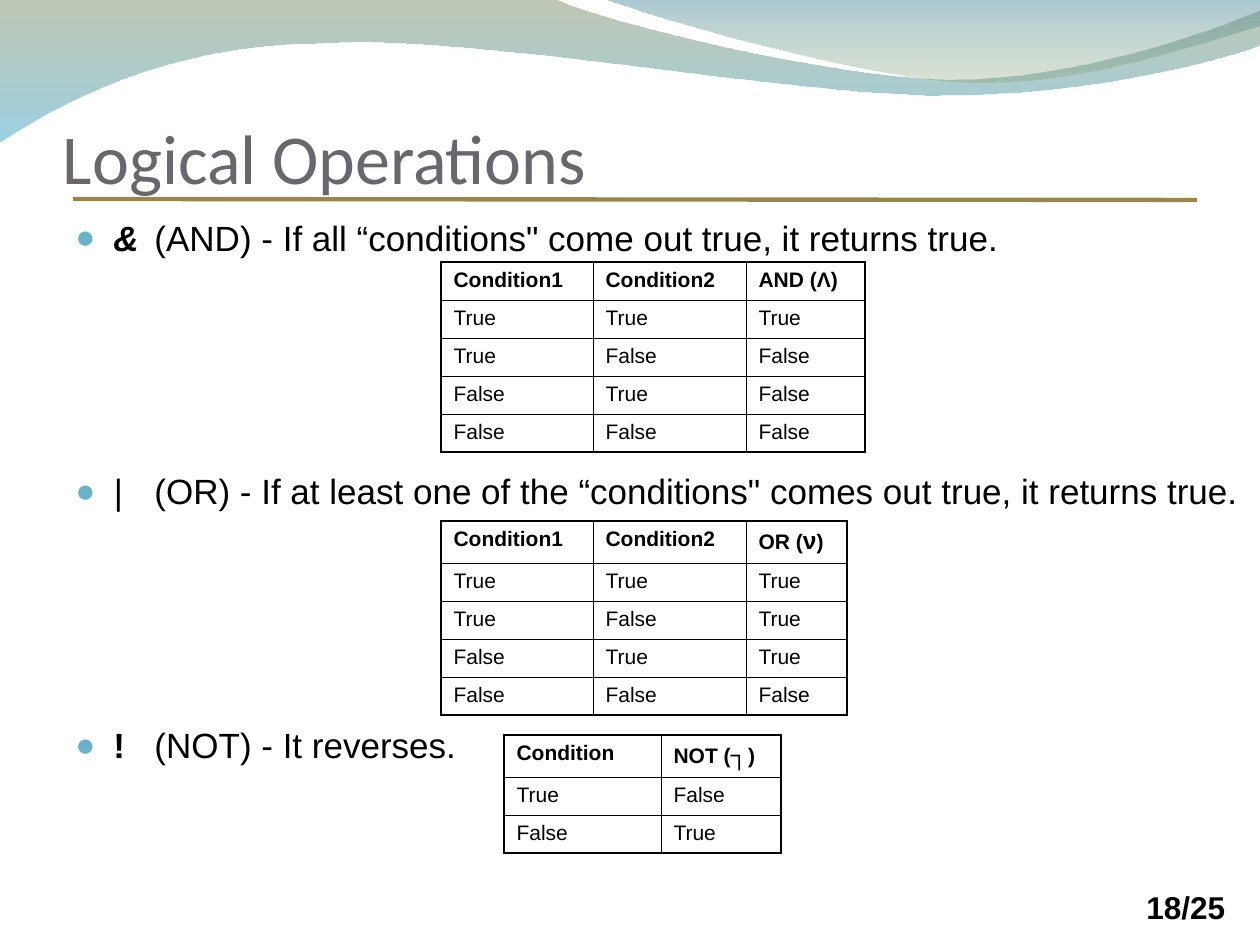
from lxml.etree import SubElement
from pptx import Presentation
from pptx.dml.color import RGBColor
from pptx.enum.shapes import MSO_CONNECTOR
from pptx.enum.text import MSO_ANCHOR
from pptx.oxml.ns import qn
from pptx.util import Emu, Pt

SCALE = 914400 // 126


def px(num):
    return Emu(round(num * SCALE))


def tint(code):
    return RGBColor.from_string(code)


def write(para, text, font="Arial", size=20, color="000000", bold=False, slant=False):
    run = para.add_run()
    run.text = text
    face = run.font
    face.name, face.size, face.bold, face.italic = font, Pt(size), bold, slant
    face.color.rgb = tint(color)


class Deck:
    accent = "6BB1C9"
    rule = "988848"
    ink = "000000"
    thin, thick = 0.45, 1.08
    row = 38

    def __init__(self, wide, high):
        self.prs = Presentation()
        self.prs.slide_width, self.prs.slide_height = px(wide), px(high)
        self.slide = self.prs.slides.add_slide(self.prs.slide_layouts[6])

    def wave(self, start, parts, stops):
        """Draw parts of one point as lines and of three points as curves."""
        form = self.slide.shapes.build_freeform(*start, scale=SCALE)
        form.add_line_segments([dot for part in parts for dot in part], close=True)
        shape = form.convert_to_shape()
        self.bend(shape, parts)
        shape.shadow.inherit = False
        shape.line.fill.background()
        shape.fill.gradient()
        shape.fill.gradient_angle = 270
        for stop, (color, alpha) in zip(shape.fill.gradient_stops, stops):
            stop.color.rgb = tint(color)
        marks = shape._element.spPr.iter(qn("a:srgbClr"))
        for mark, (color, alpha) in zip(marks, stops):
            SubElement(mark, qn("a:alpha"), val=str(alpha * 1000))

    def bend(self, shape, parts):
        lines = iter(list(shape._element.iter(qn("a:lnTo"))))
        for part in parts:
            first, *rest = [next(lines) for dot in part]
            if rest:
                first.tag = qn("a:cubicBezTo")
                for line in rest:
                    first.append(line[0])
                    line.getparent().remove(line)

    def line(self, x1, y1, x2, y2, width):
        link = self.slide.shapes.add_connector(
            MSO_CONNECTOR.STRAIGHT, px(x1), px(y1), px(x2), px(y2))
        link.line.color.rgb = tint(self.rule)
        link.line.width = Pt(width)
        SubElement(link._element.spPr, qn("a:effectLst"))

    def box(self, x, y, wide, high, text="", **style):
        frame = self.slide.shapes.add_textbox(px(x), px(y), px(wide), px(high)).text_frame
        frame.word_wrap = True
        if text:
            write(frame.paragraphs[0], text, **style)
        return frame

    def title(self, x, y, wide, high, text):
        frame = self.box(x, y, wide, high, text, font="Calibri", size=40, color="69676D")
        frame.margin_left = frame.margin_right = frame.margin_bottom = 0
        frame.vertical_anchor = MSO_ANCHOR.BOTTOM

    def list(self, x, y, wide, high, items, gap):
        frame = self.box(x, y, wide, high)
        for num, (sign, text, style) in enumerate(items):
            para = frame.paragraphs[0] if num == 0 else frame.add_paragraph()
            self.bullet(para)
            para.space_before = Pt(gap if num else 0)
            write(para, sign, **style)
            write(para, "\t" + text)

    def bullet(self, para):
        props = para._p.get_or_add_pPr()
        props.set("marL", str(px(38)))
        props.set("indent", str(px(-38)))
        paint = SubElement(props, qn("a:buClr"))
        SubElement(paint, qn("a:srgbClr"), val=self.accent)
        SubElement(props, qn("a:buSzPct"), val="95000")
        SubElement(props, qn("a:buFont"), typeface="Arial")
        SubElement(props, qn("a:buChar"), char="●")
        tabs = SubElement(props, qn("a:tabLst"))
        for stop in (41, 79):
            SubElement(tabs, qn("a:tab"), pos=str(px(stop)), algn="l")

    def table(self, x, y, cols, head, rows, top=42):
        data = [head, *rows]
        highs = [top] + [self.row] * len(rows)
        grid = self.slide.shapes.add_table(
            len(data), len(cols), px(x), px(y), px(sum(cols)), px(sum(highs))).table
        grid.first_row = grid.horz_banding = False
        for col, wide in zip(grid.columns, cols):
            col.width = px(wide)
        for r, (line, high) in enumerate(zip(data, highs)):
            grid.rows[r].height = px(high)
            for c, text in enumerate(line):
                cell = grid.cell(r, c)
                self.border(cell, L=c == 0, R=c == len(cols) - 1,
                            T=r == 0, B=r == len(rows))
                cell.fill.background()
                # A tuple holds a label with its larger symbol in the middle
                parts = text if isinstance(text, tuple) else (text,)
                for num, part in enumerate(parts):
                    write(cell.text_frame.paragraphs[0], part,
                          size=14 if num == 1 else 12, bold=r == 0)

    def border(self, cell, **sides):
        props = cell._tc.get_or_add_tcPr()
        for side, edge in sides.items():
            width = Pt(self.thick if edge else self.thin)
            line = SubElement(props, qn("a:ln" + side), w=str(width))
            fill = SubElement(line, qn("a:solidFill"))
            SubElement(fill, qn("a:srgbClr"), val=self.ink)


def main():
    deck = Deck(1260, 945)

    # Waves along the top
    deck.wave((0, -1), [
        [(554, -1)],
        [(600, 21), (837, 79), (955, 79)],
        [(1075, 79), (1207, 33), (1260, 11)],
        [(1261, 45)],
        [(1239, 55), (1096, 96), (940, 95)],
        [(784, 95), (481, 35), (324, 43)],
        [(163, 44), (58, 105), (-1, 142)],
    ], [("72845C", 45), ("49ACCD", 55)])
    deck.wave((604, -1), [
        [(641, 14), (859, 78), (969, 82)],
        [(1079, 87), (1211, 40), (1260, 26)],
        [(1260, 0)],
    ], [("42869E", 45), ("8AA26C", 30)])

    # Rule, page number and title
    deck.line(73, 199, 1197, 200, 2.5)
    deck.box(1134, 882, 116, 126, "18/25", size=18, bold=True)
    deck.title(63, 41, 1134, 158, "Logical Operations")

    # Operators
    deck.list(63, 210, 1197, 672, [
        ("&", "(AND) - If all “conditions\" come out true, it returns true.",
         dict(bold=True, slant=True)),
        ("|", "(OR) - If at least one of the “conditions\" comes out true, it returns true.",
         dict(slant=True)),
        ("!", "(NOT) - It reverses.", dict(bold=True)),
    ], gap=121)

    # Truth tables
    flags = (True, False)
    pairs = [(a, b) for a in flags for b in flags]
    names = ("Condition1", "Condition2")
    deck.table(441, 262, (152, 153, 119), (*names, "AND (Λ)"),
               [(str(a), str(b), str(a and b)) for a, b in pairs], top=38)
    deck.table(441, 521, (152, 153, 101), (*names, ("OR (", "ν", ")")),
               [(str(a), str(b), str(a or b)) for a, b in pairs])
    deck.table(504, 735, (157, 120), ("Condition", ("NOT (", "┐", ")")),
               [(str(a), str(not a)) for a in flags])

    deck.prs.save("out.pptx")


if __name__ == "__main__":
    main()
